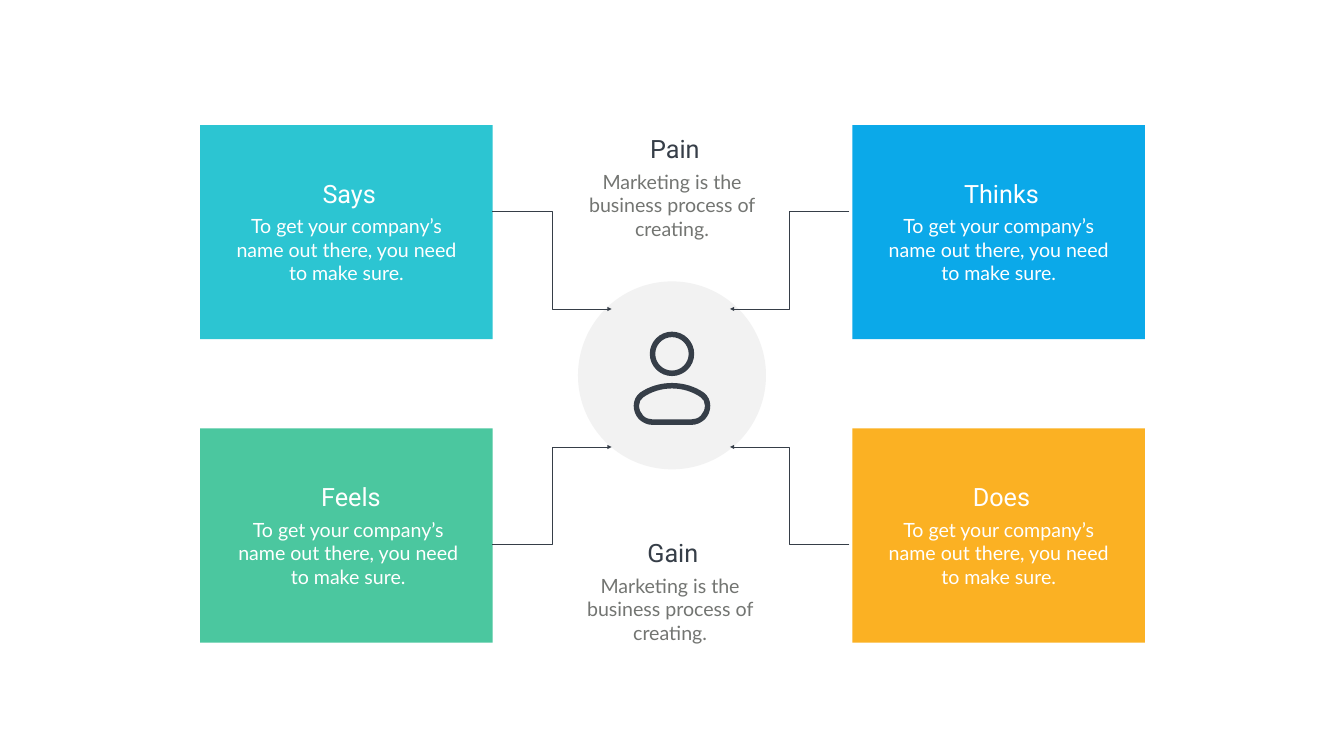
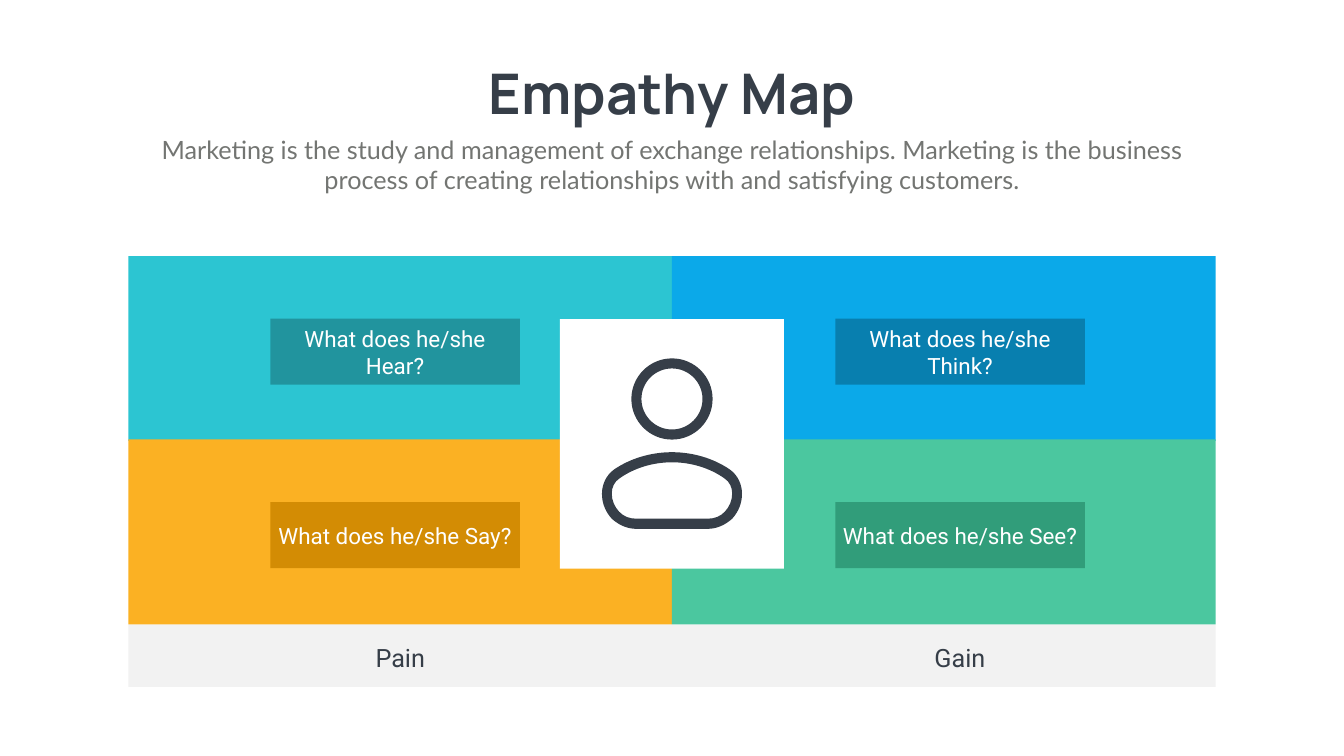
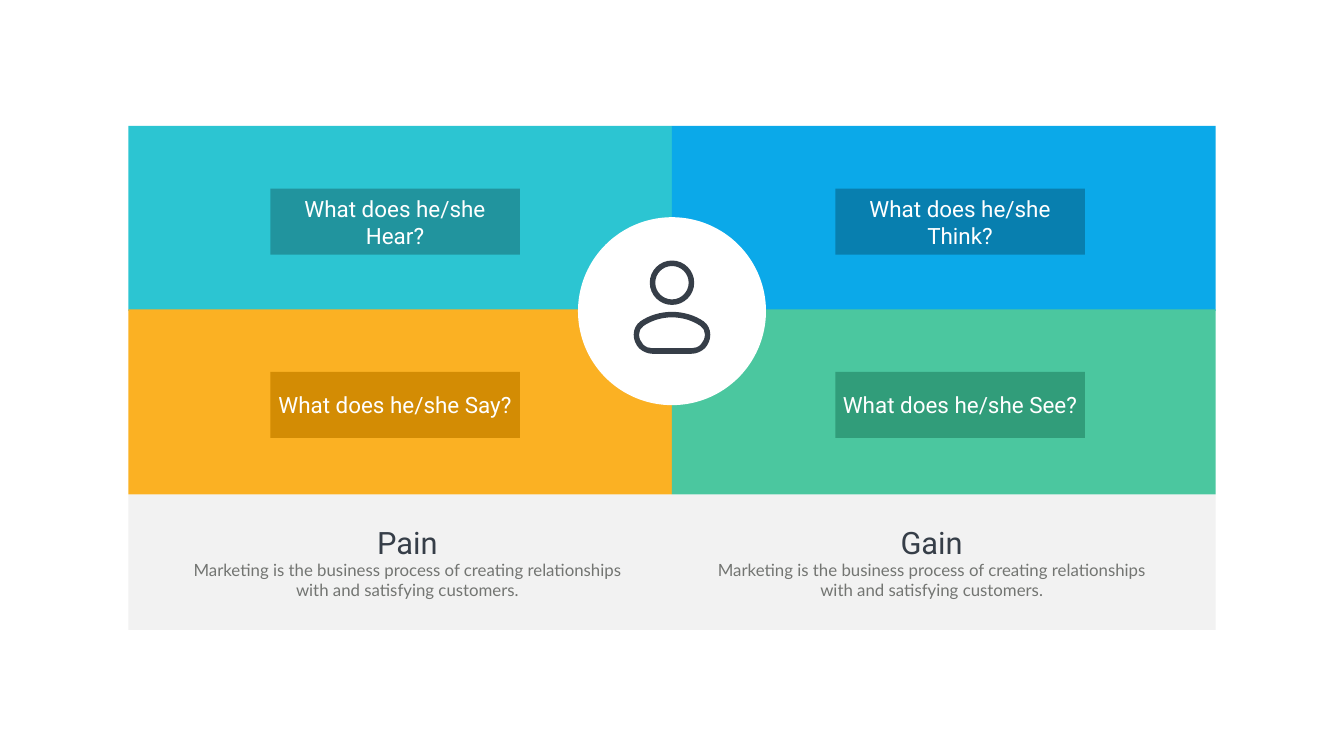
from lxml import etree
from pptx import Presentation
from pptx.dml.color import RGBColor
from pptx.enum.shapes import MSO_CONNECTOR, MSO_SHAPE
from pptx.enum.text import MSO_ANCHOR, MSO_AUTO_SIZE, PP_ALIGN
from pptx.oxml.ns import qn
from pptx.util import Pt

RECT, OVAL = MSO_SHAPE.RECTANGLE, MSO_SHAPE.OVAL
ELBOW = MSO_CONNECTOR.ELBOW
CENTER, MIDDLE = PP_ALIGN.CENTER, MSO_ANCHOR.MIDDLE
GROW = MSO_AUTO_SIZE.SHAPE_TO_FIT_TEXT

COLORS = {
    "dark": "363E48", "gray": "737572", "pale": "F2F2F2", "white": "FFFFFF",
    "teal": "2CC5D2", "blue": "0BA9E9", "green": "4BC79F", "amber": "FBB123",
    "deep teal": "21949E", "deep blue": "087FAF",
    "deep green": "319D7A", "deep amber": "D38C04",
}
TITLE_FONT, HEADING_FONT, BODY_FONT = "Manrope", "Roboto", "Lato"
WIDTH, HEIGHT = 1919.5, 1080
MID = WIDTH / 2

# Right halves of the person's outlines, from top centre down: a start point,
# then cubic curves of three points each, with x counted from the axis.
HEAD = [
    [(0, 0), (32, 0), (58, 26), (58, 58), (58, 90), (32, 116), (0, 116)],
    [(0, 14.4), (24, 14.4), (43.6, 34), (43.6, 58), (43.6, 82), (24, 101.6), (0, 101.6)],
]
SHOULDERS = [
    [(0, 0), (30, 0), (60, 9), (83, 25), (94, 33), (100, 46), (100, 59.5),
     (100, 73), (95, 85), (86, 95), (76, 104), (64, 109.5), (51, 109.5)],
    [(0, 14.4), (27, 14.4), (54, 22.5), (75, 37.5), (82, 42), (86, 50), (86, 59),
     (86, 69), (82, 78), (75.5, 85), (69, 92), (60.5, 95), (51, 95)],
]
SHOULDERS_TOP = 134

QUADRANTS = [("Hear", "teal"), ("Think", "blue"), ("Say", "amber"), ("See", "green")]
CELL_WIDTH, CELL_HEIGHT, ROW_STEP = 776.5, 264.2, 262
GRID_LEFT, GRID_HEIGHT = MID - CELL_WIDTH, ROW_STEP + CELL_HEIGHT


def rgb(color):
    return RGBColor.from_string(COLORS[color])


def paint(shape, color):
    shape.shadow.inherit = False
    shape.fill.solid()
    shape.fill.fore_color.rgb = rgb(color)
    shape.line.fill.background()


def add_block(slide, kind, left, top, width, height, color):
    block = slide.shapes.add_shape(kind, Pt(left), Pt(top), Pt(width), Pt(height))
    paint(block, color)
    return block


def write(frame, text, font_name, size, color, bold=False):
    frame.text = text
    paragraph = frame.paragraphs[0]
    paragraph.alignment = CENTER
    font = paragraph.runs[0].font
    font.name, font.size, font.bold = font_name, Pt(size), bold
    font.color.rgb = rgb(color)


def add_text(slide, center, top, width, height, text, font_name, size, color, bold=False):
    box = slide.shapes.add_textbox(Pt(center - width / 2), Pt(top), Pt(width), Pt(height))
    box.text_frame.word_wrap = True
    box.text_frame.auto_size = GROW
    write(box.text_frame, text, font_name, size, color, bold)
    return box


def add_heading(slide, center, top, text, size=36, color="dark", width=234.7):
    add_text(slide, center, top, width, size * 1.2 + 7.5, text, HEADING_FONT, size, color)


def add_caption(slide, center, top, heading, body, body_width,
                heading_color="dark", body_color="gray"):
    add_heading(slide, center + 4, top, heading, color=heading_color)
    add_text(slide, center, top + 51.3, body_width, 108.5, body, BODY_FONT, 28, body_color)


def bend(shape):
    """Turn each three line segments into one curve, keeping the flat base."""
    path = shape._element.find(".//" + qn("a:path"))
    lines = []
    for node in list(path):
        if node.tag != qn("a:lnTo"):
            lines = []
            continue
        previous = node.getprevious()
        if not lines and node.get("flat") is None and previous is not None:
            lines = [node]
        else:
            lines.append(node)
        if len(lines) == 3:
            curve = etree.Element(qn("a:cubicBezTo"))
            lines[0].addprevious(curve)
            for line in lines:
                curve.append(line[0])
                path.remove(line)
            lines = []


def add_outline(slide, halves, top, scale):
    """Draw mirrored halves as one filled shape with curved edges."""
    builder = None
    for half in halves:
        mirrored = [(-x, y) for x, y in reversed(half)]
        base = mirrored[:1] if mirrored[0][0] else []
        # A flat base is spelled as a curve too, so that all segments come in threes.
        contour = half + base * 3 + mirrored[1:]
        if base:
            contour[len(half)] = half[-1]
        start, *rest = [(Pt(MID + x * scale), Pt(top + y * scale)) for x, y in contour]
        if builder is None:
            builder = slide.shapes.build_freeform(*start)
        else:
            builder.move_to(*start)
        builder.add_line_segments(rest, close=False)
    outline = builder.convert_to_shape()
    path = outline._element.find(".//" + qn("a:path"))
    segments = path.findall(qn("a:lnTo"))
    for i in range(0, len(segments), 3):
        curve = etree.Element(qn("a:cubicBezTo"))
        segments[i].addprevious(curve)
        for segment in segments[i:i + 3]:
            curve.append(segment[0])
            path.remove(segment)
    for move in path.findall(qn("a:moveTo"))[1:]:
        move.addprevious(etree.Element(qn("a:close")))
    etree.SubElement(path, qn("a:close"))
    paint(outline, "dark")


def add_person(slide, top, scale):
    add_outline(slide, HEAD, top, scale)
    add_outline(slide, SHOULDERS, top + SHOULDERS_TOP * scale, scale)


def add_arrow(slide, x1, y1, x2, y2):
    arrow = slide.shapes.add_connector(ELBOW, Pt(x1), Pt(y1), Pt(x2), Pt(y2))
    arrow.line.color.rgb = rgb("dark")
    arrow.line.width = Pt(1)
    line = arrow._element.spPr.find(qn("a:ln"))
    etree.SubElement(line, qn("a:tailEnd"), type="triangle")
    etree.SubElement(arrow._element.spPr, qn("a:effectLst"))


def add_disc(slide, top, color):
    size = 268.5
    add_block(slide, OVAL, MID - size / 2, top, size, size, color)


def add_question_grid(slide, top, footer_height):
    """Four coloured cells with a question each, above a pale footer."""
    add_block(slide, RECT, GRID_LEFT, top + GRID_HEIGHT, 2 * CELL_WIDTH, footer_height, "pale")
    cells = [(GRID_LEFT + i % 2 * CELL_WIDTH, top + i // 2 * ROW_STEP) for i in range(4)]
    for (left, cell_top), (_, color) in zip(cells, QUADRANTS):
        add_block(slide, RECT, left, cell_top, CELL_WIDTH, CELL_HEIGHT, color)
    for i, (verb, color) in enumerate(QUADRANTS):
        label = add_block(slide, RECT, (386, 1193)[i % 2], cells[i][1] + 89.4,
                          356.4, 94.3, "deep " + color)
        label.text_frame.word_wrap = True
        label.text_frame.vertical_anchor = MIDDLE
        write(label.text_frame, f"What does he/she {verb}?", HEADING_FONT, 32, "white")


def build_hub_slide(slide):
    add_disc(slide, 402, "pale")
    card_width, card_height = 417.6, 306
    cards = [("Says", "teal", 0), ("Thinks", "blue", 0), ("Feels", "green", 2.5),
             ("Does", "amber", 0)]
    for i, (heading, color, shift) in enumerate(cards):
        left, top = (286, 1217.5)[i % 2], (178.6, 612)[i // 2]
        add_block(slide, RECT, left, top, card_width, card_height, color)
        add_caption(slide, left + card_width / 2 + shift, top + 72.7, heading,
                    "To get your company’s name out there, you need to make sure.",
                    338.4, "white", "white")
    for start, end in ((703.4, 873.5), (1213.2, 1042.6)):
        add_arrow(slide, start, 302.4, end, 441.4)
        add_arrow(slide, start, HEIGHT - 302.4, end, HEIGHT - 441.4)
    for heading, center, top in (("Gain", 957, 764.6), ("Pain", 959.8, 187.2)):
        add_caption(slide, center, top, heading,
                    "Marketing is the business process of creating.", 286.5)
    add_person(slide, 473.8, 0.547)


def build_titled_slide(slide):
    title = add_text(slide, MID, 80.6, 593.3, 104.4, "Empathy Map", TITLE_FONT, 80, "dark", True)
    title.text_frame.word_wrap = False
    add_text(slide, MID, 188, 1499, 94.3,
             "Marketing is the study and management of exchange relationships. Marketing is "
             "the business process of creating relationships with and satisfying customers.",
             BODY_FONT, 36, "gray")
    grid_top = 365.8
    add_question_grid(slide, grid_top, 89.3)
    for heading, center in (("Pain", 571.7), ("Gain", 1371)):
        add_heading(slide, center, 913.7, heading)
    add_block(slide, RECT, MID - 160, grid_top + 90, 320, 356.4, "white")
    add_person(slide, 512, 1)


def build_summary_slide(slide):
    add_question_grid(slide, 180, 193.7)
    centers = {"Pain": 581.8, "Gain": 1330.6}
    for heading, center in centers.items():
        add_heading(slide, center, 744.5, heading, 44, width=252)
    for center in centers.values():
        add_text(slide, center, 796.3, 639.4, 65.5,
                 "Marketing is the business process of creating relationships with and "
                 "satisfying customers.", BODY_FONT, 24, "gray")
    add_disc(slide, 310.3, "white")
    add_person(slide, 372.2, 0.547)


def main():
    deck = Presentation()
    deck.slide_width, deck.slide_height = Pt(WIDTH), Pt(HEIGHT)
    for build in (build_hub_slide, build_titled_slide, build_summary_slide):
        build(deck.slides.add_slide(deck.slide_layouts[6]))
    deck.save("out.pptx")


if __name__ == "__main__":
    main()
